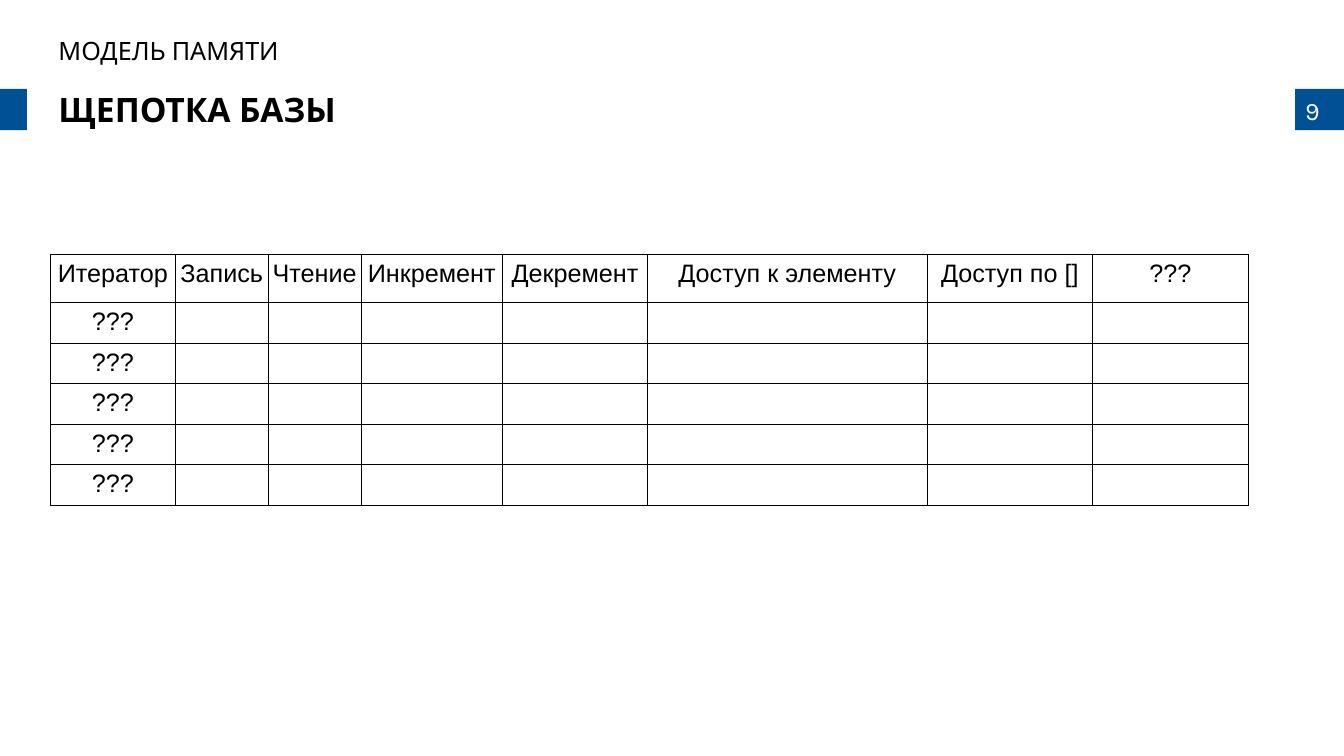
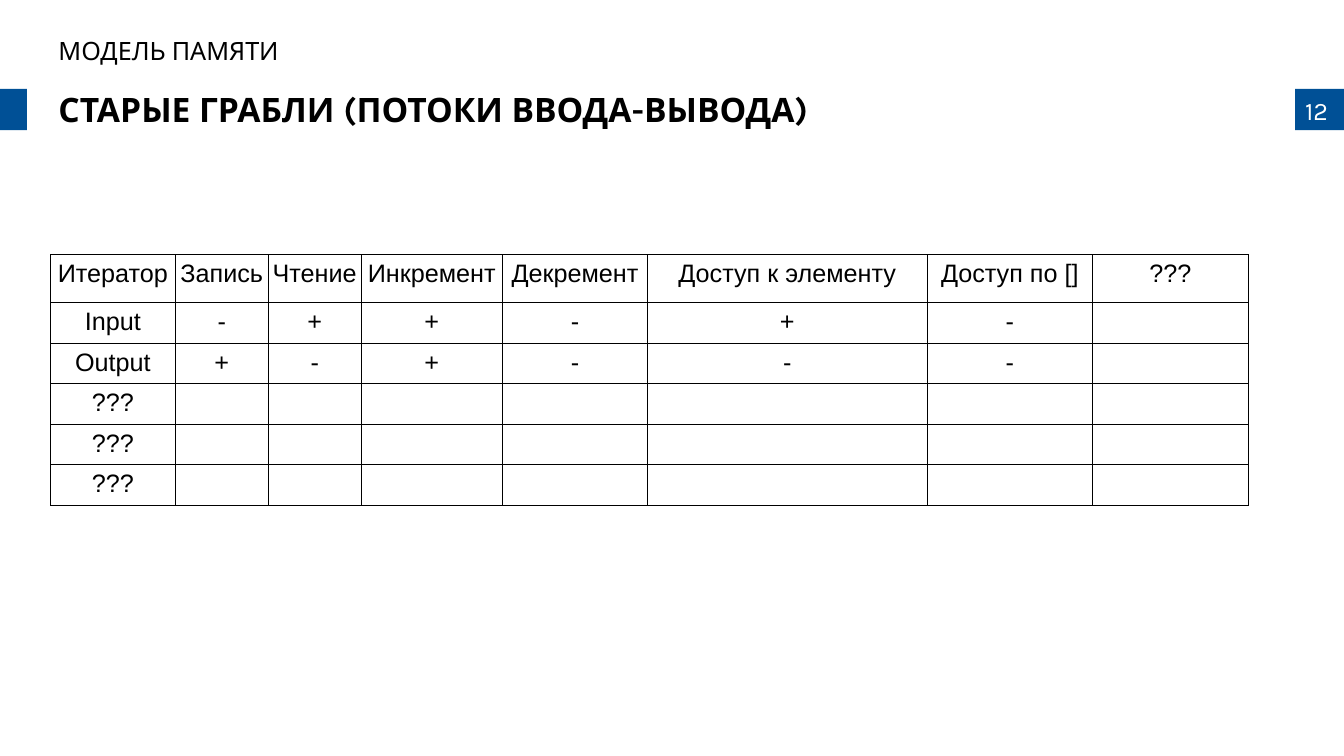
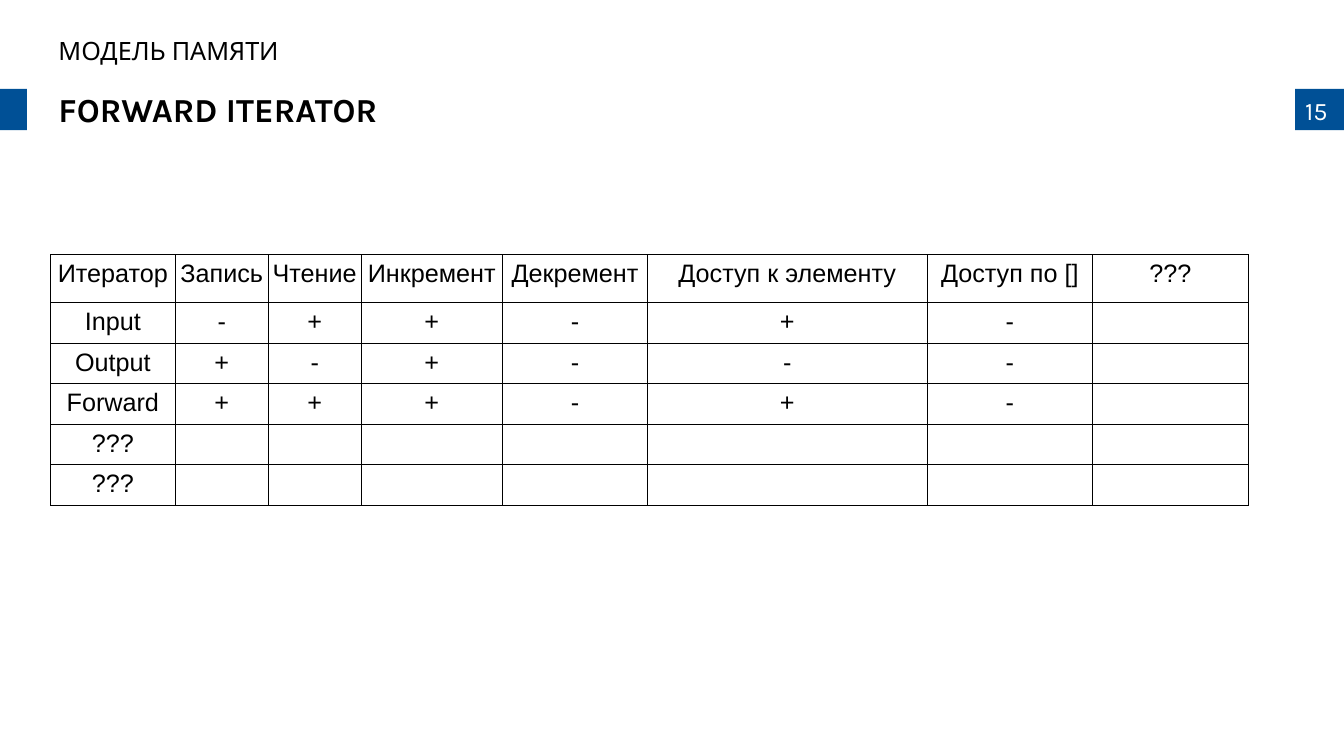
from dataclasses import dataclass

from lxml.etree import SubElement
from pptx import Presentation
from pptx.dml.color import RGBColor
from pptx.enum.shapes import MSO_SHAPE as Shape
from pptx.enum.text import MSO_ANCHOR as Anchor, MSO_AUTO_SIZE as AutoSize, PP_ALIGN as Align
from pptx.oxml.ns import qn
from pptx.text.text import Font
from pptx.util import Cm, Pt

# Shared look
BLUE, BLACK, WHITE = "005096", "000000", "FFFFFF"
HEADING_FONT, TABLE_FONT = "Karla", "Arial"
SECTION = "МОДЕЛЬ ПАМЯТИ"


@dataclass(frozen=True)
class Box:
    left: float
    top: float
    width: float
    height: float

    def lengths(self) -> tuple:
        return Cm(self.left), Cm(self.top), Cm(self.width), Cm(self.height)


@dataclass(frozen=True)
class IteratorSlide:
    number: int
    title: str
    known: int  # iterator kinds already revealed


SLIDE_WIDTH, SLIDE_HEIGHT = 33.87, 19.05
TITLE_BOX = Box(1.22, 2.24, 27.69, 1.04)
SECTION_BOX = Box(1.22, 0.84, 27.69, 0.86)
BANDS = [Box(0, 2.24, 0.68, 1.04), Box(32.64, 2.24, 1.23, 1.04)]
NUMBER_BOX = Box(32.64, 2.29, 1.19, 1.02)

# Table content and grid
HEADERS = ["Итератор", "Запись", "Чтение", "Инкремент", "Декремент",
           "Доступ к элементу", "Доступ по []", "???"]
KINDS = [
    ["Input", *"-++-+-", ""],
    ["Output", *"+-+---", ""],
    ["Forward", *"+++-+-", ""],
]
KIND_COUNT = 5
UNKNOWN = ["???"] + [""] * (len(HEADERS) - 1)
COLUMN_WIDTHS = [3.15, 2.34, 2.34, 3.56, 3.66, 7.04, 4.18, 3.91]
HEADER_HEIGHT, ROW_HEIGHT = 1.21, 1.01
TABLE_BOX = Box(1.27, 6.41, sum(COLUMN_WIDTHS), HEADER_HEIGHT + KIND_COUNT * ROW_HEIGHT)

SLIDES = [
    IteratorSlide(9, "ЩЕПОТКА БАЗЫ", 0),
    IteratorSlide(12, "СТАРЫЕ ГРАБЛИ (ПОТОКИ ВВОДА-ВЫВОДА)", 2),
    IteratorSlide(15, "FORWARD ITERATOR", 3),
]


def color(value: str) -> RGBColor:
    return RGBColor.from_string(value)


def write_text(frame, text: str, *, font: str = HEADING_FONT, size: float = 18,
               fill: str = BLACK, bold: bool = False, align=Align.LEFT):
    """Fill the first paragraph; an empty one still keeps its font."""
    paragraph = frame.paragraphs[0]
    paragraph.alignment = align
    if text:
        run = paragraph.add_run()
        run.text = text
        style = run.font
    else:
        style = Font(paragraph._p.get_or_add_endParaRPr())
    style.name, style.size, style.bold = font, Pt(size), bold
    style.color.rgb = color(fill)
    return paragraph


def place(shape, box: Box) -> None:
    shape.left, shape.top, shape.width, shape.height = box.lengths()


def write_heading(placeholder, text: str, **style) -> None:
    frame = placeholder.text_frame
    frame.vertical_anchor = Anchor.TOP
    frame.auto_size = AutoSize.NONE
    paragraph = write_text(frame, text, **style)
    paragraph.line_spacing, paragraph.space_before = 0.9, Pt(10)
    properties = paragraph._p.get_or_add_pPr()
    properties.set("marL", "0")
    properties.set("indent", "0")
    SubElement(properties, qn("a:buNone"))


def add_layout_bands(slide) -> None:
    """Draw the side bands and hand them to the layout, behind its placeholders."""
    layout_tree = slide.slide_layout.shapes._spTree
    for box in BANDS:
        band = slide.shapes.add_shape(Shape.RECTANGLE, *box.lengths())
        band.shadow.inherit = False
        band.fill.solid()
        band.fill.fore_color.rgb = color(BLUE)
        band.line.fill.background()
        layout_tree.insert(2, band._element)


def style_cell(cell) -> None:
    cell.margin_left = cell.margin_right = Cm(0.1)
    cell.margin_top = cell.margin_bottom = Cm(0.13)
    properties = cell._tc.get_or_add_tcPr()
    for side in ("lnL", "lnR", "lnT", "lnB"):
        border = SubElement(properties, qn(f"a:{side}"), w=str(Pt(0.57)))
        solid = SubElement(border, qn("a:solidFill"))
        SubElement(solid, qn("a:srgbClr"), val=BLACK)
    cell.fill.background()


def add_iterator_table(slide, known: int) -> None:
    rows = [HEADERS, *KINDS[:known], *[UNKNOWN] * (KIND_COUNT - known)]
    table = slide.shapes.add_table(len(rows), len(HEADERS), *TABLE_BOX.lengths()).table
    table.first_row = table.horz_banding = False
    for column, width in zip(table.columns, COLUMN_WIDTHS):
        column.width = Cm(width)
    for index, (row, texts) in enumerate(zip(table.rows, rows)):
        row.height = Cm(ROW_HEIGHT if index else HEADER_HEIGHT)
        for cell, text in zip(row.cells, texts):
            style_cell(cell)
            write_text(cell.text_frame, text, font=TABLE_FONT, align=Align.CENTER)


def add_iterator_slide(presentation, layout, content: IteratorSlide):
    slide = presentation.slides.add_slide(layout)
    # Headings
    write_heading(slide.shapes.title, content.title, size=24, bold=True)
    write_heading(slide.placeholders[1], SECTION)
    # Page number
    number = slide.shapes.add_textbox(*NUMBER_BOX.lengths())
    number.text_frame.word_wrap = True
    write_text(number.text_frame, str(content.number), fill=WHITE)
    add_iterator_table(slide, content.known)
    return slide


def main() -> None:
    presentation = Presentation()
    presentation.slide_width, presentation.slide_height = Cm(SLIDE_WIDTH), Cm(SLIDE_HEIGHT)
    layout = presentation.slide_layouts[1]
    for placeholder, box in zip(layout.placeholders, (TITLE_BOX, SECTION_BOX)):
        place(placeholder, box)
    slides = [add_iterator_slide(presentation, layout, content) for content in SLIDES]
    add_layout_bands(slides[0])
    presentation.save("out.pptx")


if __name__ == "__main__":
    main()
